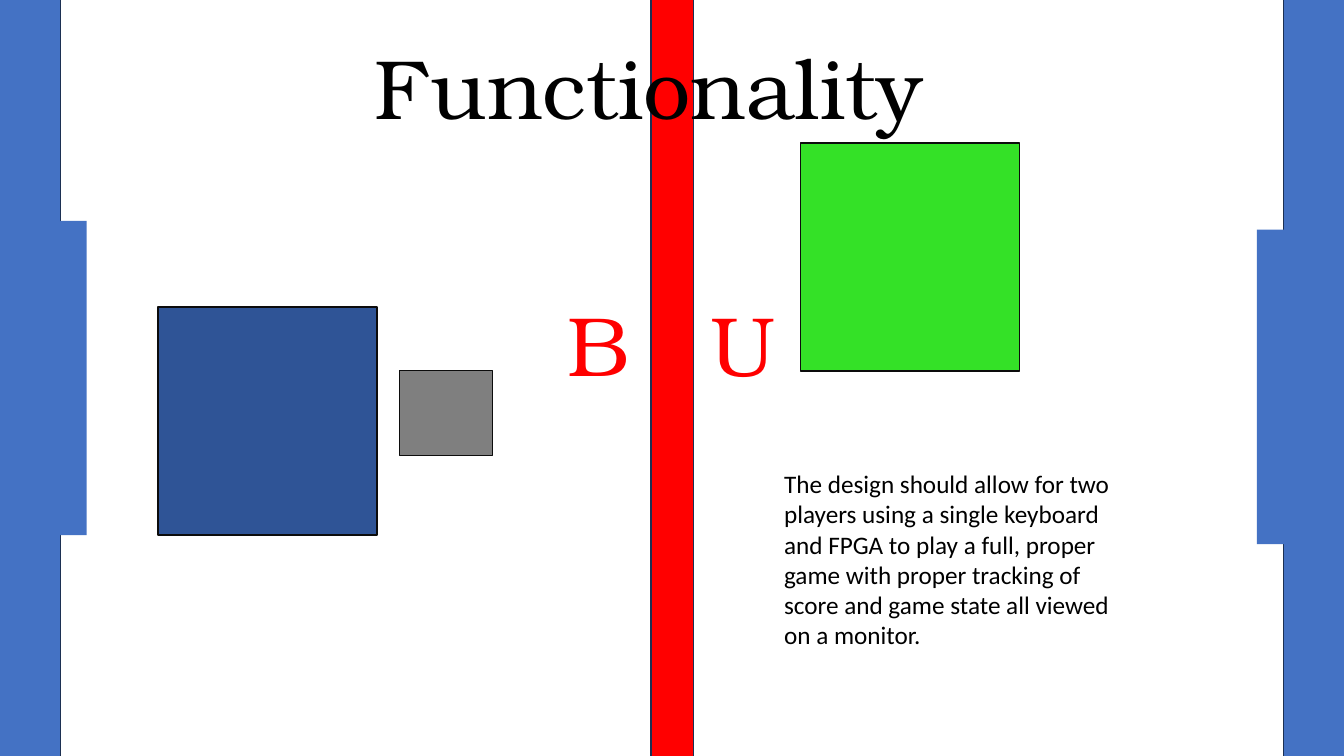
"""Build the Functionality slide, laid out as a two-player game court."""
from pptx import Presentation
from pptx.dml import color
from pptx.enum import shapes, text
from pptx.util import Pt

SERIF = "TeX Gyre Bonum"
NAVY, BLUE, RED, INK = "1C3052", "4472C4", "FF0000", "0C0C0C"


def rgb(value):
    return color.RGBColor.from_string(value)


def place(sp, x, y, w, h):
    sp.left, sp.top, sp.width, sp.height = Pt(x), Pt(y), Pt(w), Pt(h)


def add_block(s, box, fill, line=None):
    x, y, w, h = box
    sp = s.shapes.add_shape(shapes.MSO_SHAPE.RECTANGLE, Pt(x), Pt(y), Pt(w), Pt(h))
    sp.shadow.inherit = False
    sp.fill.solid()
    sp.fill.fore_color.rgb = rgb(fill)
    if line:
        sp.line.color.rgb = rgb(line)
        sp.line.width = Pt(1)
    else:
        sp.line.fill.background()
    return sp


def write(sp, words, font, size, hue, align, anchor, spacing=1.0):
    tf = sp.text_frame
    tf.word_wrap = True
    tf.auto_size = text.MSO_AUTO_SIZE.NONE
    tf.vertical_anchor = anchor
    tf.margin_left = tf.margin_right = Pt(7.2)
    tf.margin_top = tf.margin_bottom = Pt(3.6)
    p = tf.paragraphs[0]
    p.alignment = align
    p.line_spacing = spacing
    r = p.add_run()
    r.text = words
    r.font.name, r.font.size = font, Pt(size)
    r.font.color.rgb = rgb(hue)


def add_text(s, box, *style):
    sp = s.shapes.add_textbox(0, 0, 0, 0)
    place(sp, *box)
    write(sp, *style)


def main():
    prs = Presentation()
    prs.slide_width, prs.slide_height = Pt(960), Pt(540)
    s = prs.slides.add_slide(prs.slide_layouts[5])
    left, center = text.PP_ALIGN.LEFT, text.PP_ALIGN.CENTER
    top, bottom = text.MSO_ANCHOR.TOP, text.MSO_ANCHOR.BOTTOM

    net = add_block(s, (465, -47.5, 30.2, 647.3), RED, NAVY)
    s.shapes._spTree.insert(2, net._element)
    title = s.shapes.title
    place(title, 113, -86, 720, 188)
    write(title, "Functionality ", SERIF, 60, "000000", center, bottom, 0.9)

    for x in (-43.2, 916.6):
        add_block(s, (x, -20.2, 86.4, 647.3), BLUE, NAVY)
    for x, letter in ((398.1, "B"), (500.8, "U")):
        add_text(s, (x, 97.5, 72, 188), letter, SERIF, 60, RED, left, bottom, 0.9)
    for x, y in ((897.8, 164), (-24.5, 157.7)):
        add_block(s, (x, y, 86.4, 224.6), BLUE)

    for box, fill in (((113, 219.4, 156.4, 162.9), "2F5496"),
                      ((285.3, 264.8, 66.4, 60.5), "7F7F7F"),
                      ((571.8, 102.2, 156.4, 162.9), "34E127")):
        add_block(s, box, fill, INK)
    add_text(s, (553, 331, 268, 138.2),
             "The design should allow for two players using a single keyboard "
             "and FPGA to play a full, proper game with proper tracking of "
             "score and game state all viewed on a monitor.",
             "Calibri", 18, "000000", left, top)
    prs.save("out.pptx")


if __name__ == "__main__":
    main()
